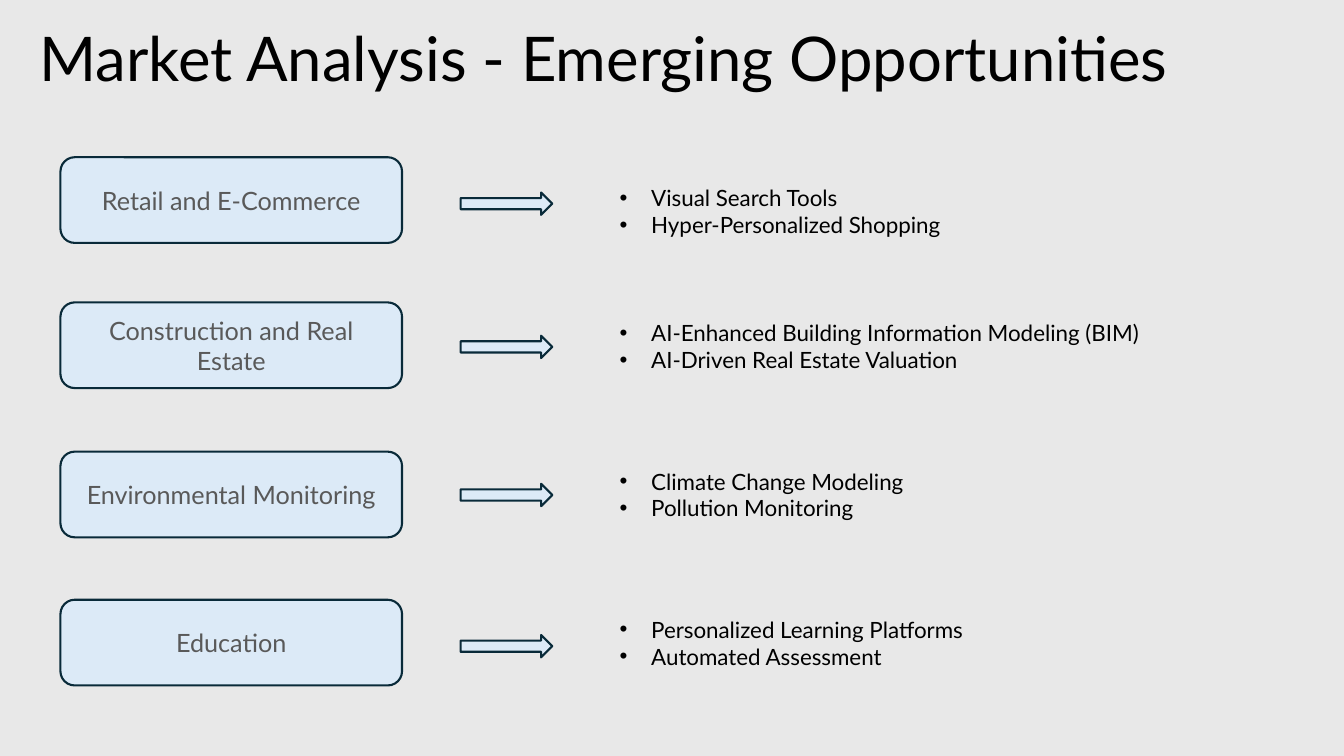
from pptx import Presentation
from pptx.dml.color import RGBColor
from pptx.enum.shapes import MSO_SHAPE as Shape
from pptx.enum.text import MSO_ANCHOR as Anchor, PP_ALIGN as Align
from pptx.oxml.ns import qn
from pptx.util import Pt
from lxml.etree import SubElement

COLORS = {"page": "E8E8E8", "fill": "DCEAF7", "line": "092A39",
          "label": "595959", "text": "000000"}
FONT = "Lato"
ROW_LEFT, ROW_WIDTH, ROW_HEIGHT = 43.2, 840, 61.2
INDENT = 22.5

# Each row: top, arrow offset, list offset, sector, opportunities
ROWS = [
    (112.3, 25.2, 15.9, "Retail and E-Commerce",
     ["Visual Search Tools", "Hyper-Personalized Shopping"]),
    (216, 23.8, 8.6, "Construction and Real Estate",
     ["AI-Enhanced Building Information Modeling (BIM)",
      "AI-Driven Real Estate Valuation"]),
    (322.6, 23, 7.9, "Environmental Monitoring",
     ["Climate Change Modeling", "Pollution Monitoring"]),
    (428.4, 25.2, 7.9, "Education",
     ["Personalized Learning Platforms", "Automated Assessment"]),
]


def color(name):
    """Return the named colour."""
    return RGBColor.from_string(COLORS[name])


def style_text(frame, size, tone):
    """Wrap the text and give every run the same font."""
    frame.word_wrap = True
    for para in frame.paragraphs:
        for run in para.runs:
            run.font.name = FONT
            run.font.size = Pt(size)
            run.font.color.rgb = color(tone)


def add_block(page, kind, left, top, width, height):
    """Add an outlined pale blue shape."""
    block = page.shapes.add_shape(kind, Pt(left), Pt(top), Pt(width), Pt(height))
    block.shadow.inherit = False
    block.fill.solid()
    block.fill.fore_color.rgb = color("fill")
    block.line.color.rgb = color("line")
    block.line.width = Pt(1.5)
    return block


def add_title(page, left, top, width, height):
    """Add the slide heading."""
    box = page.shapes.add_textbox(Pt(left), Pt(top), Pt(width), Pt(height))
    frame = box.text_frame
    frame.text = "Market Analysis - Emerging Opportunities"
    frame.vertical_anchor = Anchor.MIDDLE
    frame.paragraphs[0].line_spacing = 0.9
    style_text(frame, 44, "text")


def add_bullets(page, left, top, width, height, items):
    """Add a bulleted list with a hanging indent."""
    box = page.shapes.add_textbox(Pt(left), Pt(top), Pt(width), Pt(height))
    frame = box.text_frame
    frame.text = "\n".join(items)
    for para in frame.paragraphs:
        properties = para._p.get_or_add_pPr()
        properties.set("marL", str(Pt(INDENT)))
        properties.set("indent", str(-Pt(INDENT)))
        SubElement(properties, qn("a:buFont"), typeface="Arial")
        SubElement(properties, qn("a:buChar"), char="•")
    style_text(frame, 16, "text")


def add_row(page, left, top, width, height, arrow_offset, list_offset, sector, items):
    """Add a sector, its arrow and its opportunities."""
    label = add_block(page, Shape.ROUNDED_RECTANGLE, left, top, 244, height)
    frame = label.text_frame
    frame.text = sector
    frame.vertical_anchor = Anchor.MIDDLE
    frame.paragraphs[0].alignment = Align.CENTER
    style_text(frame, 18, "label")
    add_block(page, Shape.RIGHT_ARROW, left + 285.8, top + arrow_offset, 65.5, 16)
    list_left = 392.4
    add_bullets(page, left + list_left, top + list_offset,
                width - list_left, 46, items)


def main():
    """Build and save the deck."""
    deck = Presentation()
    deck.slide_width, deck.slide_height = Pt(960), Pt(540)
    page = deck.slides.add_slide(deck.slide_layouts[6])
    page.background.fill.solid()
    page.background.fill.fore_color.rgb = color("page")
    add_title(page, 21, 13, 864, 62)
    for top, arrow_offset, list_offset, sector, items in ROWS:
        add_row(page, ROW_LEFT, top, ROW_WIDTH, ROW_HEIGHT,
                arrow_offset, list_offset, sector, items)
    deck.save("out.pptx")


if __name__ == "__main__":
    main()
